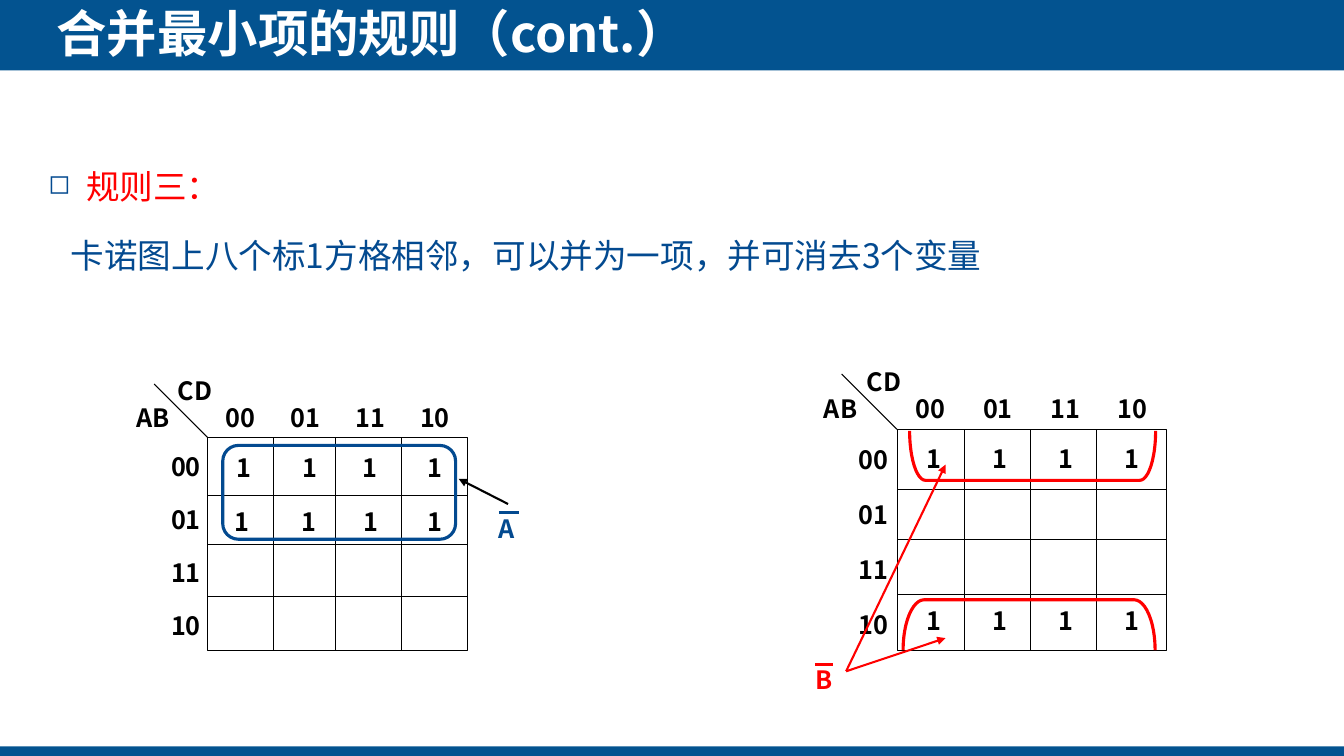
from dataclasses import dataclass
from typing import Optional

from lxml import etree
from pptx import Presentation
from pptx import util as u
from pptx.dml import color
from pptx.enum import shapes, text
from pptx.oxml import ns

FACE = "Noto Sans CJK SC"
BLUE, RED, BLACK, WHITE, BAND = "034A90", "FF0000", "000000", "FFFFFF", "035390"
CODES = ("00", "01", "11", "10")
KIND = shapes.MSO_SHAPE
FIT = text.MSO_AUTO_SIZE.SHAPE_TO_FIT_TEXT


@dataclass
class Map:
    """A Karnaugh map: grid edges, label centres and the rows of ones."""
    xs: tuple
    ys: tuple
    slant: float
    col: float      # centre of the first column label
    col_gap: float
    head: float     # centre height of the column labels
    side: float     # centre of the row labels
    row: float      # centre height of the first row label
    row_gap: float
    ones: dict      # centre height -> centres across


@dataclass
class Loop:
    """An outline around ones that merge."""
    kind: int
    box: tuple
    adj: float
    hue: str
    turn: int = 0


@dataclass
class Term:
    """A negated variable: its letter and the bar above it."""
    name: str
    x: float
    y: float
    hue: str
    bar: tuple


@dataclass
class Arrow:
    start: tuple
    end: tuple
    hue: str


def rgb(code: str) -> color.RGBColor:
    return color.RGBColor.from_string(code)


def node(parent, tag: str, **attrs: str):
    return etree.SubElement(parent, ns.qn(tag), attrs)


def apply(target, values: dict) -> None:
    for name, value in values.items():
        setattr(target, name, value)


def write(para, words: str, size: float, hue: str, bold: bool = False) -> None:
    run = para.add_run()
    run.text = words
    run.font.color.rgb = rgb(hue)
    apply(run.font, {"size": u.Pt(size), "bold": bold, "name": FACE})
    node(run.font._element, "a:ea", typeface=FACE)


def shape(kind: int, box: tuple, fill: Optional[str] = None,
          line: Optional[str] = None, width: float = 0.75):
    item = slide.shapes.add_shape(kind, *map(u.Pt, box))
    item.shadow.inherit = False
    if fill:
        item.fill.solid()
        item.fill.fore_color.rgb = rgb(fill)
    else:
        item.fill.background()
    if line:
        item.line.color.rgb = rgb(line)
        item.line.width = u.Pt(width)
    else:
        item.line.fill.background()
    return item


def stroke(start: tuple, end: tuple, hue: str = BLACK,
           width: float = 0.75, arrow: bool = False):
    item = slide.shapes.add_connector(
        shapes.MSO_CONNECTOR.STRAIGHT, *map(u.Pt, start + end))
    item.line.color.rgb = rgb(hue)
    item.line.width = u.Pt(width)
    if arrow:
        node(item.line._get_or_add_ln(), "a:tailEnd", type="triangle")
    node(item._element.spPr, "a:effectLst")
    return item


def label(words: str, x: float, y: float, hue: str = BLACK) -> None:
    wide, high = 46, 28.8
    box = slide.shapes.add_textbox(
        *map(u.Pt, (x - wide / 2, y - high / 2, wide, high)))
    apply(box.text_frame, {"word_wrap": False, "auto_size": FIT})
    para = box.text_frame.paragraphs[0]
    para.alignment = text.PP_ALIGN.CENTER
    write(para, words, 18, hue, True)


def draw_map(grid: Map) -> None:
    left, *cols, right = grid.xs
    top, *rows, base = grid.ys
    frame = shape(KIND.RECTANGLE, (left, top, right - left, base - top), line=BLACK)
    for x in cols:
        stroke((x, top), (x, base))
    lines = [stroke((left, y), (right, y)) for y in rows]
    lines[1].begin_connect(frame, 1)
    lines[1].end_connect(frame, 3)
    cut = grid.slant
    stroke((left, top), (left - cut, top - cut))
    label("AB", left - 1.02 * cut, top - 0.38 * cut)
    label("CD", left - 0.24 * cut, top - 0.87 * cut)
    for i, code in enumerate(CODES):
        label(code, grid.side, grid.row + i * grid.row_gap)
        label(code, grid.col + i * grid.col_gap, grid.head)
    for y, xs in grid.ones.items():
        for x in xs:
            label("1", x, y)


def draw_loop(loop: Loop) -> None:
    item = shape(loop.kind, loop.box, line=loop.hue, width=2.25)
    item.adjustments[0] = loop.adj
    item.rotation = loop.turn


def draw_term(term: Term) -> None:
    label(term.name, term.x, term.y, term.hue)
    first, last, y = term.bar
    stroke((first, y), (last, y), term.hue, 2.25)


deck = Presentation()
apply(deck, {"slide_width": u.Pt(960), "slide_height": u.Pt(540)})
slide = deck.slides.add_slide(deck.slide_layouts[5])

# Bands and title
for y, high in ((-2.2, 52.6), (533.2, 7.2)):
    shape(KIND.RECTANGLE, (0, y, 960, high), fill=BAND)
title = slide.shapes.title
slide.shapes._spTree.append(title._element)
apply(title, dict(zip(("left", "top", "width", "height"),
                      map(u.Pt, (40.3, 1.4, 617, 44)))))
apply(title.text_frame, {
    "margin_left": 0, "margin_right": 0, "margin_top": 0, "margin_bottom": 0,
    "vertical_anchor": text.MSO_ANCHOR.MIDDLE, "word_wrap": True, "auto_size": FIT})
title.text_frame.paragraphs[0].alignment = text.PP_ALIGN.LEFT
write(title.text_frame.paragraphs[0], "合并最小项的规则（cont.）", 36, WHITE, True)

# Rule
body = slide.shapes.add_textbox(*map(u.Pt, (27.4, 100.8, 905, 95.8))).text_frame
apply(body, {"word_wrap": True, "auto_size": FIT})
rule, detail = body.paragraphs[0], body.add_paragraph()
for para in (rule, detail):
    apply(para, {"alignment": text.PP_ALIGN.JUSTIFY, "line_spacing": 1.5,
                 "space_after": u.Pt(6)})
props = rule._p.get_or_add_pPr()
props.set("marL", str(u.Pt(27)))
props.set("indent", str(u.Pt(-27)))
node(node(props, "a:buClr"), "a:srgbClr", val=BLUE)
node(props, "a:buSzPct", val="80000")
node(props, "a:buChar", char="◻")
detail._p.get_or_add_pPr().set("marL", str(u.Pt(16)))
write(rule, "规则三：", 24, RED)
write(detail, "卡诺图上八个标1方格相邻，可以并为一项，并可消去3个变量", 24, BLUE)

# Maps
even = tuple(667 + 47.2 * i for i in range(4))
MAPS = (
    Map((148.3, 195.1, 239.8, 286.6, 334.1), (312.5, 354.2, 388.8, 426.2, 464.8),
        38.2, 171.8, 46.3, 298.1, 132.8, 333.4, 37.9,
        {333.9: (174.2, 221.3, 264.3, 310.8), 372.2: (172.7, 220.4, 265, 310.8)}),
    Map((640.8, 689, 735.8, 783.4, 833), (306.7, 349.9, 385.9, 424.8, 464.4),
        39.6, 664.8, 48, 291.6, 623.8, 328.3, 39.2, {327.6: even, 443.5: even}),
)
for grid in MAPS:
    draw_map(grid)

# Loops, arrows and resulting terms
LOOPS = (
    Loop(KIND.ROUNDED_RECTANGLE, (159.1, 318.2, 166.3, 67), 0.167, BLUE),
    Loop(KIND.LEFT_BRACKET, (720, 237.6, 35.3, 175.7), 0.321, RED, 270),
    Loop(KIND.RIGHT_BRACKET, (717.1, 356.4, 36, 180), 0.417, RED, 270),
)
ARROWS = (
    Arrow((362.9, 360), (327.6, 342), BLACK),
    Arrow((604.4, 479.5), (675.4, 455.8), RED),
    Arrow((604.4, 479.5), (675.4, 331.9), RED),
)
TERMS = (
    Term("A", 362, 377.3, BLUE, (356.4, 370.8, 365.8)),
    Term("B", 588.6, 485.3, RED, (582.5, 594.7, 474.5)),
)
for loop in LOOPS:
    draw_loop(loop)
for arrow in ARROWS:
    stroke(arrow.start, arrow.end, arrow.hue, 1.5, True)
for term in TERMS:
    draw_term(term)

deck.save("out.pptx")
